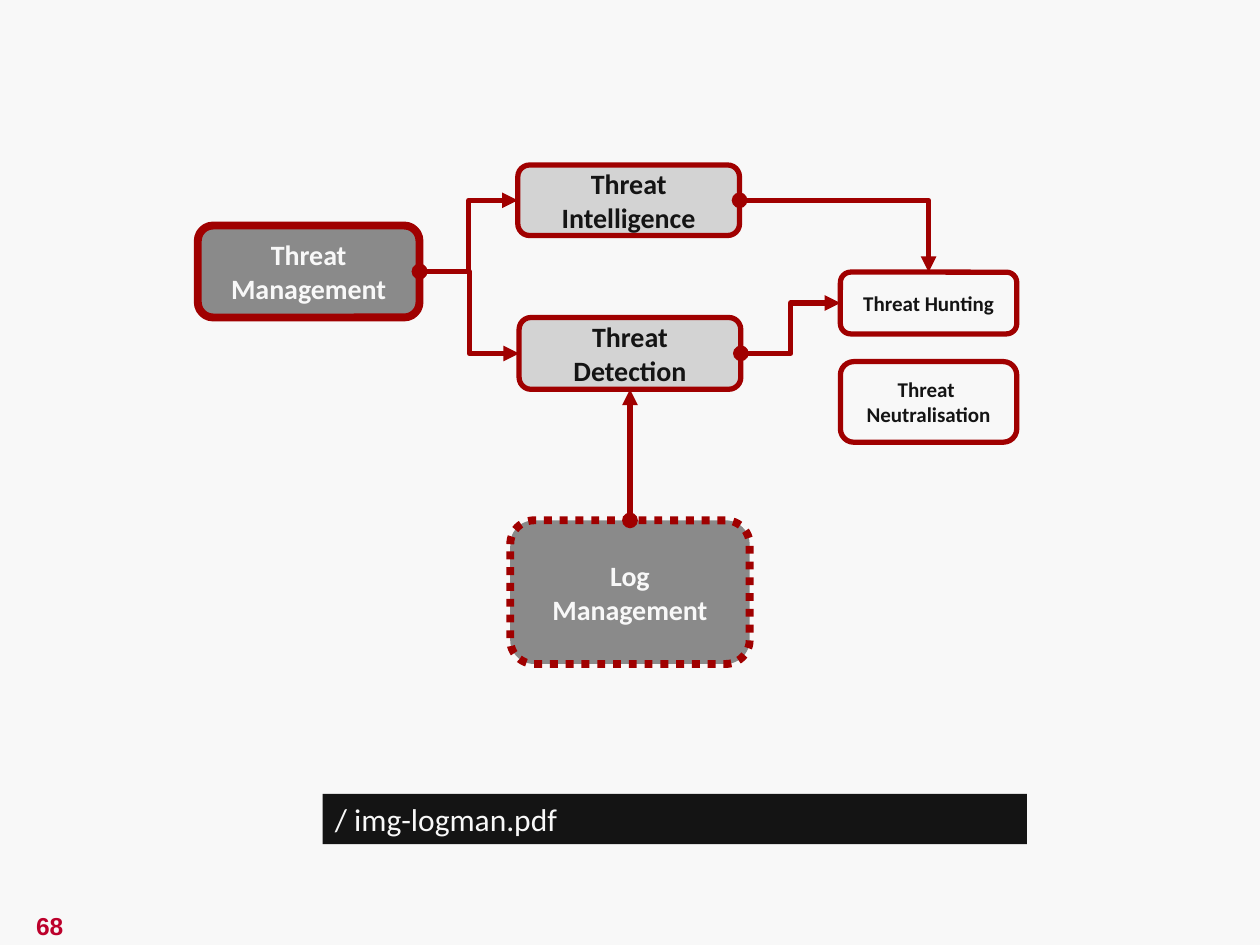
from lxml import etree
from pptx import Presentation
from pptx.dml.color import RGBColor
from pptx.enum.dml import MSO_LINE
from pptx.enum.shapes import MSO_CONNECTOR, MSO_SHAPE
from pptx.enum.text import MSO_ANCHOR, PP_ALIGN
from pptx.oxml.ns import qn
from pptx.util import Inches, Pt

ROUNDED, RECT = MSO_SHAPE.ROUNDED_RECTANGLE, MSO_SHAPE.RECTANGLE
STRAIGHT, ELBOW = MSO_CONNECTOR.STRAIGHT, MSO_CONNECTOR.ELBOW
LEFT, CENTER = PP_ALIGN.LEFT, PP_ALIGN.CENTER
MIDDLE = MSO_ANCHOR.MIDDLE
DOTTED = MSO_LINE.ROUND_DOT  # written as sysDot

PAPER = RGBColor(0xF8, 0xF8, 0xF8)
INK = RGBColor(0x14, 0x14, 0x14)
RED = RGBColor(0xA0, 0x00, 0x00)
DARK_GREY = RGBColor(0x8A, 0x8A, 0x8A)
LIGHT_GREY = RGBColor(0xD3, 0xD3, 0xD3)
NUMBER_RED = RGBColor(0xBC, 0x00, 0x2B)

# Connection sites of a rectangle
TOP, SIDE_LEFT, BOTTOM, SIDE_RIGHT = range(4)


def write(shape, lines, size, color, bold=True, align=CENTER, font="Calibri"):
    tf = shape.text_frame
    tf.word_wrap = True
    tf.vertical_anchor = MIDDLE
    for i, line in enumerate(lines):
        p = tf.paragraphs[0] if i == 0 else tf.add_paragraph()
        p.alignment = align
        r = p.add_run()
        r.text = line
        r.font.name, r.font.size = font, Pt(size)
        r.font.bold, r.font.color.rgb = bold, color


def add_filled(slide, kind, box, fill):
    s = slide.shapes.add_shape(kind, *map(Inches, box))
    s.shadow.inherit = False
    s.fill.solid()
    s.fill.fore_color.rgb = fill
    s.line.fill.background()
    return s


def add_node(slide, box, lines, fill, color=INK, size=16, width=3, dash=None):
    s = add_filled(slide, ROUNDED, box, fill)
    s.line.color.rgb = RED
    s.line.width = Pt(width)
    if dash:
        s.line.dash_style = dash
    write(s, lines, size, color)
    return s


def link(slide, start, start_site, end, end_site, kind=ELBOW, preset=None):
    c = slide.shapes.add_connector(kind, 0, 0, 0, 0)
    c.begin_connect(start, start_site)
    c.end_connect(end, end_site)
    c.line.color.rgb = RED
    c.line.width = Pt(3)
    sp_pr = c._element.spPr
    if preset:
        sp_pr.find(qn("a:prstGeom")).set("prst", preset)
    ln = sp_pr.find(qn("a:ln"))
    etree.SubElement(ln, qn("a:headEnd"), type="oval")
    etree.SubElement(ln, qn("a:tailEnd"), type="triangle")
    etree.SubElement(sp_pr, qn("a:effectLst"))


def add_threat_diagram(slide, left, top, width, height):
    def box(x, y, w, h):
        return left + x, top + y, w, h

    node_w, small_w = 1.76, 1.4
    small_x = width - small_w
    log_h = 1.14

    # Boxes
    management = add_node(slide, box(0, 0.48, node_w, 0.73), ["Threat Management"],
                          DARK_GREY, PAPER, width=4.5)
    intelligence = add_node(slide, box(2.54, 0, node_w, 0.56),
                            ["Threat Intelligence"], LIGHT_GREY)
    detection = add_node(slide, box(2.55, 1.21, node_w, 0.57),
                         ["Threat Detection"], LIGHT_GREY)
    hunting = add_node(slide, box(small_x, 0.85, small_w, 0.49),
                       ["Threat Hunting"], PAPER, size=12)
    add_node(slide, box(small_x, 1.56, small_w, 0.64),
             ["Threat ", "Neutralisation"], PAPER, size=12)
    logs = add_node(slide, box(2.48, height - log_h, 1.9, log_h),
                    ["Log Management"], DARK_GREY, PAPER, width=4.5, dash=DOTTED)

    # Arrows
    for target in (intelligence, detection):
        link(slide, management, SIDE_RIGHT, target, SIDE_LEFT)
    link(slide, intelligence, SIDE_RIGHT, hunting, TOP, preset="bentConnector2")
    link(slide, detection, SIDE_RIGHT, hunting, SIDE_LEFT)
    link(slide, logs, TOP, detection, BOTTOM, STRAIGHT)


def add_file_bar(slide, *box):
    s = add_filled(slide, RECT, box, INK)
    write(s, ["/ img-logman.pdf"], 18, PAPER, bold=False, align=LEFT)


def add_page_number(slide, *box):
    s = slide.shapes.add_textbox(*map(Inches, box))
    write(s, ["68"], 14, NUMBER_RED, font="Arial")


def main():
    prs = Presentation()
    prs.slide_width, prs.slide_height = Inches(10), Inches(7.5)
    slide = prs.slides.add_slide(prs.slide_layouts[6])
    slide.background.fill.solid()
    slide.background.fill.fore_color.rgb = PAPER

    add_page_number(slide, -0.02, 7.18, 0.83, 0.34)
    add_threat_diagram(slide, 1.57, 1.31, 6.5, 3.96)
    add_file_bar(slide, 2.56, 6.3, 5.59, 0.4)
    prs.save("out.pptx")


if __name__ == "__main__":
    main()
